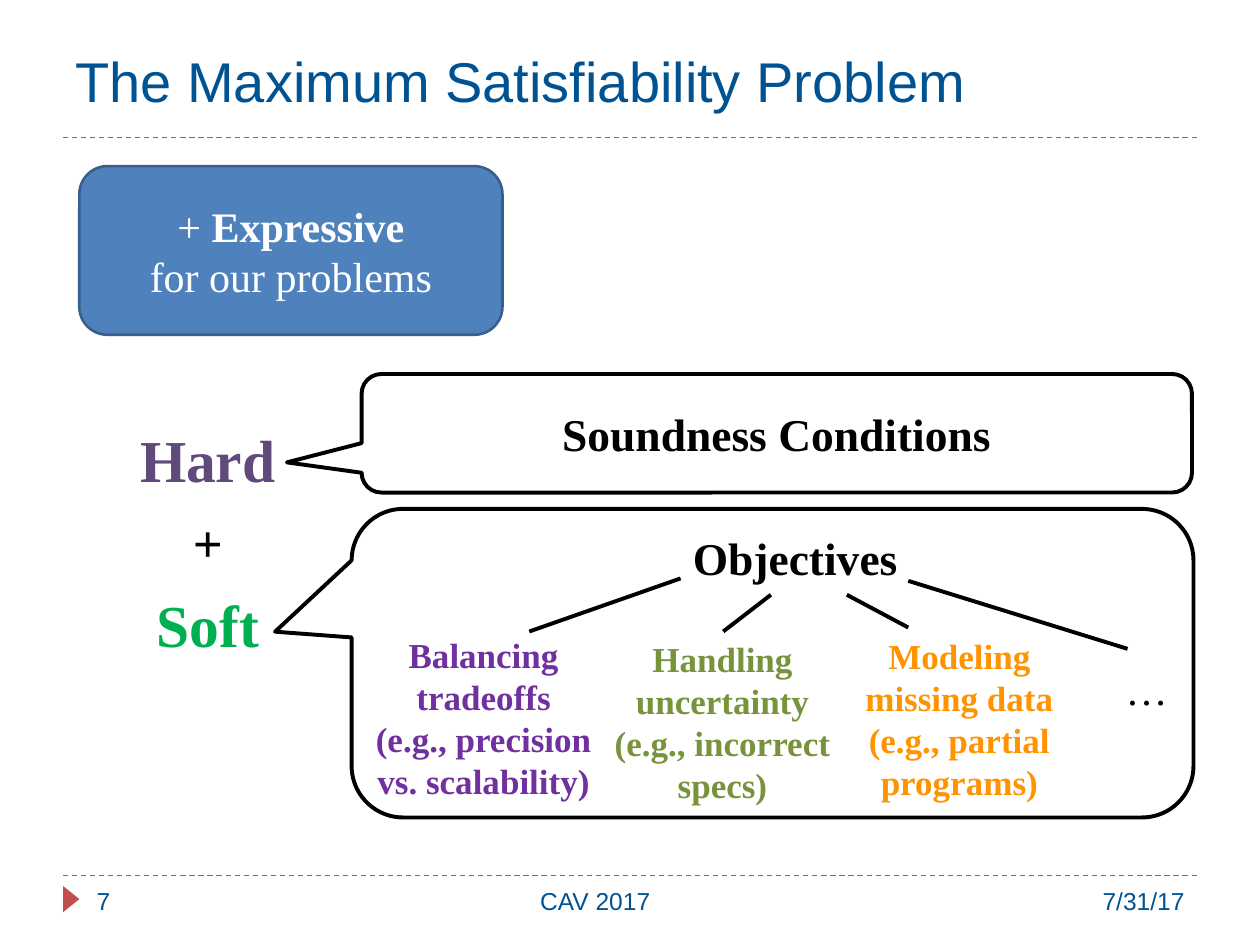
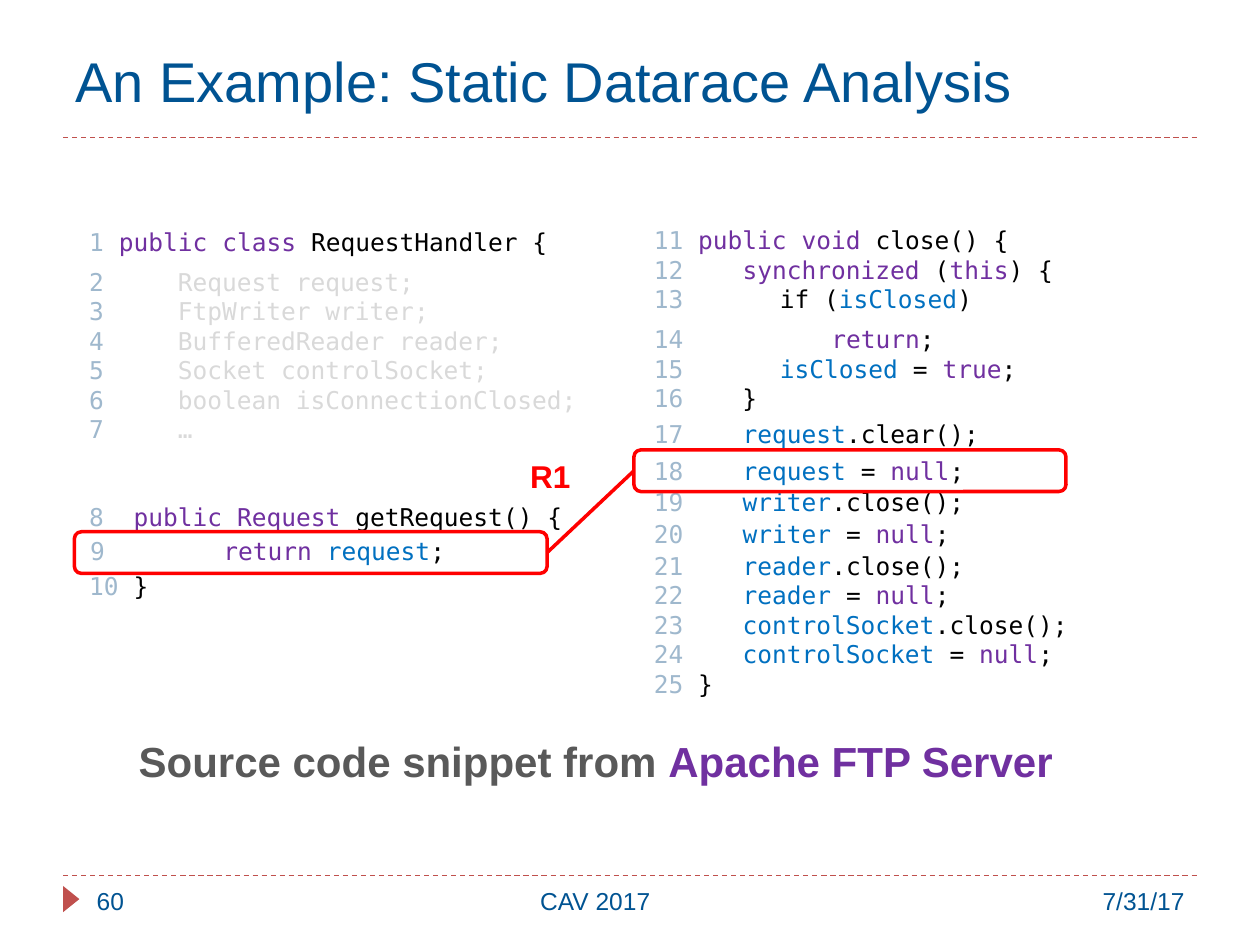
"""Build two conference slides: a MaxSAT overview and a datarace code example."""
import itertools

import lxml.etree
import pptx
import pptx.dml.color
import pptx.enum.dml
import pptx.enum.shapes
import pptx.enum.text
import pptx.oxml.ns
import pptx.util

Cm = pptx.util.Cm
Pt = pptx.util.Pt
RGB = pptx.dml.color.RGBColor
SHAPE = pptx.enum.shapes.MSO_SHAPE
ALIGN = pptx.enum.text.PP_ALIGN
ANCHOR = pptx.enum.text.MSO_ANCHOR

NAVY = RGB(0x00, 0x53, 0x92)
BRICK = RGB(0xC0, 0x50, 0x4D)
BLACK = RGB(0x00, 0x00, 0x00)
WHITE = RGB(0xFF, 0xFF, 0xFF)
RED = RGB(0xFF, 0x00, 0x00)
PURPLE = RGB(0x70, 0x30, 0xA0)
PLUM = RGB(0x60, 0x4A, 0x7B)
GREEN = RGB(0x00, 0xB0, 0x50)
OLIVE = RGB(0x77, 0x93, 0x3C)
ORANGE = RGB(0xFF, 0x93, 0x00)
STEEL = RGB(0x4F, 0x81, 0xBD)
STEEL_EDGE = RGB(0x3A, 0x5F, 0x8C)
SLATE = RGB(0x59, 0x59, 0x59)
FIELD_BLUE = RGB(0x00, 0x70, 0xC0)
LINE_NUMBER = RGB(0x9F, 0xB8, 0xCD)
FADED = RGB(0xD9, 0xD9, 0xD9)

SANS, SERIF, MONO = "Arial", "Times New Roman", "DejaVu Sans Mono"
CODE_PITCH = 16.8
KEYWORDS = "public class Request return void synchronized this true null"
FIELDS = "request isClosed writer reader controlSocket"
WORD_COLORS = {
    **dict.fromkeys(KEYWORDS.split(), PURPLE),
    **dict.fromkeys(FIELDS.split(), FIELD_BLUE),
}

CLASS_LINES = [
    ("1 public class RequestHandler {", 0, None),
    ("2     Request request;", 6, FADED),
    ("3     FtpWriter writer;", 0, FADED),
    ("4     BufferedReader reader;", 0, FADED),
    ("5     Socket controlSocket;", 0, FADED),
    ("6     boolean isConnectionClosed;", 0, FADED),
    ("7     …", 0, FADED),
    ("8  public Request getRequest() {", 2 * CODE_PITCH, None),
    ("10 }", CODE_PITCH + 6, None),
]
CLOSE_LINES = [
    ("11 public void close() {", 0, None),
    ("12    synchronized (this) {", 0, None),
    ("13    \tif (isClosed)", 0, None),
    ("14          return;", 6, None),
    ("15    \tisClosed = true;", 0, None),
    ("16    }", 0, None),
    ("21    reader.close();", 4 * CODE_PITCH + 12, None),
    ("22    reader = null;", 0, None),
    ("23    controlSocket.close();", 0, None),
    ("24    controlSocket = null;", 0, None),
    ("25 }", 0, None),
]
CLOSE_STATEMENTS = [
    ("17    request.clear();", 3.91),
    ("18    request = null;", 4.65),
    ("19    writer.close();", 5.28),
    ("20    writer = null;", 5.92),
]
BRANCHES = [
    ("Balancing\ntradeoffs\n(e.g., precision\nvs. scalability)", PURPLE, 20, True,
     (6.63, 1.4, 3.58, 2.47), (-0.59, 2.39, 6.5, 3.68)),
    ("Handling\nuncertainty\n(e.g., incorrect\nspecs)", OLIVE, 20, True,
     (8.45, 1.73, 7.49, 2.47), (4.49, 2.47, 5.97, 3.68)),
    ("Modeling\nmissing data\n(e.g., partial\nprograms)", ORANGE, 20, True,
     (9.98, 1.73, 11.22, 2.39), (9.01, 2.41, 6.48, 3.68)),
    ("…", BLACK, 24, False,
     (11.22, 1.45, 15.64, 2.82), (14.68, 3, 2.69, 1.27)),
]


def style_font(font, face, size, color, bold=False):
    """Set the face, size, colour and weight of a font."""
    font.name, font.size, font.bold = face, Pt(size), bold
    font.color.rgb = color


def fill_text(tf, text, face, size, color, bold=False, align=ALIGN.LEFT):
    """Write text into a frame, one paragraph a line, in one style."""
    tf.text = text
    tf.word_wrap = True
    for p in tf.paragraphs:
        p.alignment = align
        for r in p.runs:
            style_font(r.font, face, size, color, bold)


def add_text(s, box, *style, **options):
    """Add a text box in one style and return its frame."""
    tf = s.shapes.add_textbox(*map(Cm, box)).text_frame
    fill_text(tf, *style, **options)
    return tf


def add_runs(p, parts, face, size, bold=False):
    """Append (text, colour) runs to a paragraph."""
    for text, color in parts:
        r = p.add_run()
        r.text = text
        style_font(r.font, face, size, color, bold)


def add_line(s, ends, color, width, dash=None):
    """Add a straight connector without a shadow."""
    line = s.shapes.add_connector(
        pptx.enum.shapes.MSO_CONNECTOR.STRAIGHT, *map(Cm, ends))
    line.line.color.rgb, line.line.width = color, Pt(width)
    if dash:
        line.line.dash_style = dash
    properties = line._element.spPr
    lxml.etree.SubElement(properties, pptx.oxml.ns.qn("a:effectLst"))
    return line


def add_box(s, kind, box, fill=None, edge=None, width=1):
    """Add a preset shape with an optional fill and outline."""
    sp = s.shapes.add_shape(kind, *map(Cm, box))
    sp.shadow.inherit = False
    if fill is None:
        sp.fill.background()
    else:
        sp.fill.solid()
        sp.fill.fore_color.rgb = fill
    if edge is None:
        sp.line.fill.background()
    else:
        sp.line.color.rgb, sp.line.width = edge, Pt(width)
    return sp


def add_frame(prs, title, number):
    """Add a slide with its title, dashed rules and footer."""
    s = prs.slides.add_slide(prs.slide_layouts[6])
    for y in (17.65, 2.77):
        add_line(s, (1.27, y, 24.13, y), BRICK, 0.75, pptx.enum.dml.MSO_LINE.DASH)
    marker = add_box(s, SHAPE.ISOSCELES_TRIANGLE, (1.17, 17.96, 0.53, 0.33), BRICK)
    marker.rotation = 90
    tf = add_text(s, (1.27, 0.43, 22.86, 2.36), title, SANS, 32, NAVY)
    tf.vertical_anchor = ANCHOR.MIDDLE
    for text, x, w, align in ((number, 1.7, 2.26, ALIGN.LEFT),
                              ("CAV 2017", 3.96, 16.08, ALIGN.CENTER),
                              ("7/31/17", 17.78, 6.35, ALIGN.RIGHT)):
        add_text(s, (x, 17.73, w, 1.02), text, SANS, 14, NAVY, align=align)
    return s


def add_callout(s, box, tail, text, anchor):
    """Add an outlined speech bubble and return its frame."""
    sp = add_box(s, SHAPE.ROUNDED_RECTANGULAR_CALLOUT, box, edge=BLACK, width=2.25)
    sp.adjustments[0], sp.adjustments[1] = tail
    sp.adjustments[2] = 0.167
    tf = sp.text_frame
    fill_text(tf, text, SERIF, 26, BLACK, True, ALIGN.CENTER)
    tf.vertical_anchor = anchor
    return tf


def add_expressive(s, box):
    """Add the blue panel on expressiveness."""
    panel = add_box(s, SHAPE.ROUNDED_RECTANGLE, box, STEEL, STEEL_EDGE, 1.5)
    tf = panel.text_frame
    fill_text(tf, "+ \nfor our problems", SERIF, 24, WHITE, align=ALIGN.CENTER)
    tf.vertical_anchor = ANCHOR.MIDDLE
    add_runs(tf.paragraphs[0], [("Expressive", WHITE)], SERIF, 24, True)


def add_constraint_kinds(s, x, y):
    """Stack the hard and soft constraint labels."""
    for text, dy, size, color in (("Hard", 0, 34, PLUM), ("+", 1.75, 30, BLACK),
                                  ("Soft", 3.32, 34, GREEN)):
        add_text(s, (x, y + dy, 4.32, 1.7), text, SERIF, size, color, True, ALIGN.CENTER)


def add_objectives(s, box):
    """Add the objectives bubble with its branches."""
    x, y = box[:2]
    tf = add_callout(s, box, (-0.591, -0.102), "Objectives", ANCHOR.TOP)
    tf.margin_left = Cm(1.17)
    for text, color, size, bold, (x1, y1, x2, y2), (dx, dy, w, h) in BRANCHES:
        add_line(s, (x + x1, y + y1, x + x2, y + y2), BLACK, 2.25)
        add_text(s, (x + dx, y + dy, w, h), text, SERIF, size, color, bold, ALIGN.CENTER)


def add_code(s, box, lines):
    """Add numbered code lines given as (text, space before, tint)."""
    tf = s.shapes.add_textbox(*map(Cm, box)).text_frame
    tf.word_wrap = True
    for i, (text, gap, tint) in enumerate(lines):
        p = tf.add_paragraph() if i else tf.paragraphs[0]
        p.line_spacing = Pt(CODE_PITCH)
        p.space_before = Pt(gap)
        words = ("".join(g) for _, g in itertools.groupby(text, str.isalnum))
        add_runs(p, [(word, LINE_NUMBER if word.isdigit()
                      else tint or WORD_COLORS.get(word, BLACK))
                     for word in words], MONO, 14)


def add_request_class(s, x, y):
    """Add the class listing and return the outline of its racing line."""
    add_code(s, (x, y, 11, 11.68), CLASS_LINES)
    add_code(s, (x + 0.02, y + 6.24, 7.67, 0.86), [("9        return request;", 0, None)])
    return add_box(s, SHAPE.ROUNDED_RECTANGLE, (x - 0.05, y + 6.27, 9.53, 0.84),
                   edge=RED, width=2)


def add_close_method(s, x, y):
    """Add the close() listing and return the outline of its racing line."""
    add_code(s, (x, y, 12.4, 9.88), CLOSE_LINES)
    for text, dy in CLOSE_STATEMENTS:
        add_code(s, (x, y + dy, 7.37, 0.86), [(text, 0, None)])
    return add_box(s, SHAPE.ROUNDED_RECTANGLE, (x - 0.15, y + 4.65, 8.71, 0.84),
                   edge=RED, width=2)


def build_maxsat(prs):
    """Build the maximum satisfiability slide."""
    s = add_frame(prs, "The Maximum Satisfiability Problem", "7")
    add_constraint_kinds(s, 2.03, 8.41)
    add_callout(s, (7.29, 7.54, 16.74, 2.39), (-0.59, 0.246),
                "Soundness Conditions", ANCHOR.MIDDLE)
    add_objectives(s, (7.09, 10.26, 16.97, 6.22))
    add_expressive(s, (1.6, 3.35, 8.53, 3.4))


def build_datarace(prs):
    """Build the static datarace analysis slide."""
    s = add_frame(prs, "An Example: Static Datarace Analysis", "60")
    read = add_request_class(s, 1.55, 4.45)
    write = add_close_method(s, 12.93, 4.42)
    race = add_line(s, (11.03, 11.14, 12.78, 9.49), RED, 2)
    race.begin_connect(read, 3)
    race.end_connect(write, 1)
    add_text(s, (10.44, 9.09, 1.4, 1.02), "R1", SANS, 18, RED, True)
    tf = add_text(s, (0.58, 14.71, 22.86, 1.32), "Source code snippet from ",
                  SANS, 24, SLATE, True, ALIGN.CENTER)
    add_runs(tf.paragraphs[0], [("Apache FTP Server", PURPLE)], SANS, 24, True)


def main():
    """Build and save the presentation."""
    prs = pptx.Presentation()
    prs.slide_width, prs.slide_height = Cm(25.4), Cm(19.05)
    build_maxsat(prs)
    build_datarace(prs)
    prs.save("out.pptx")


if __name__ == "__main__":
    main()
